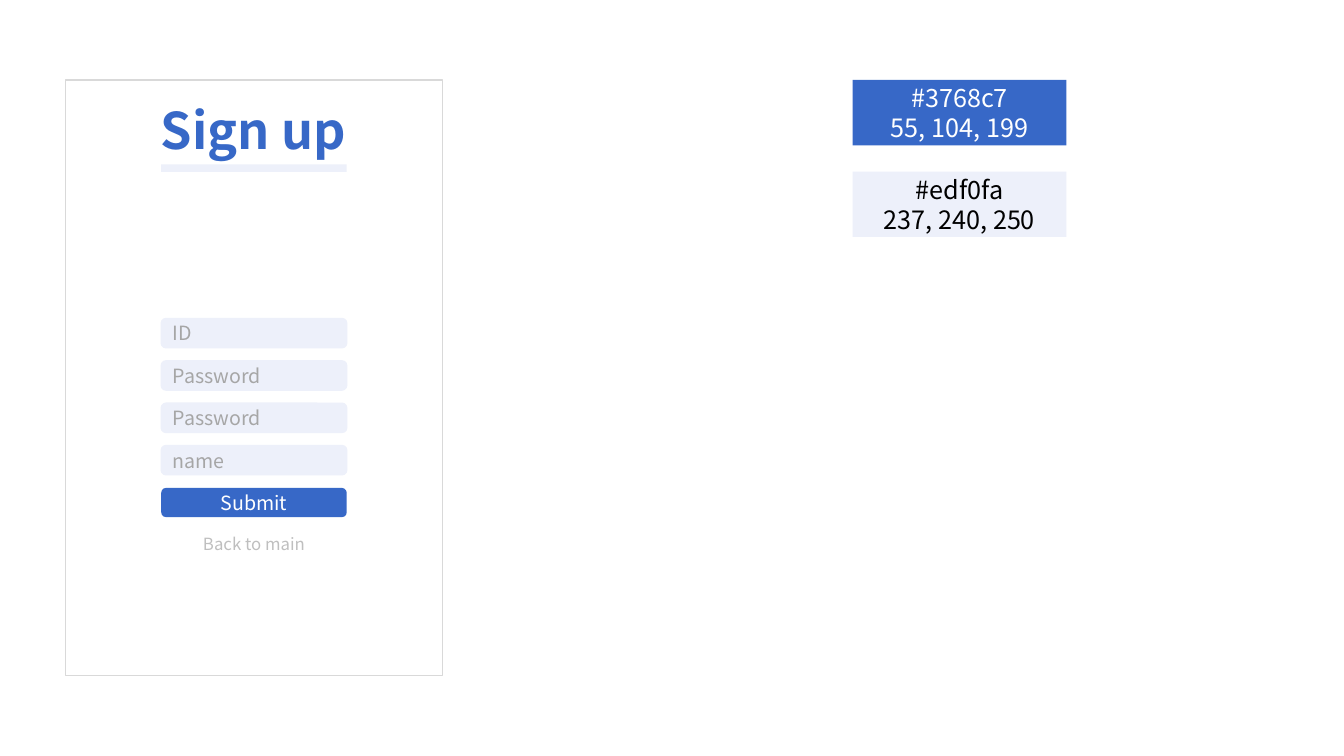
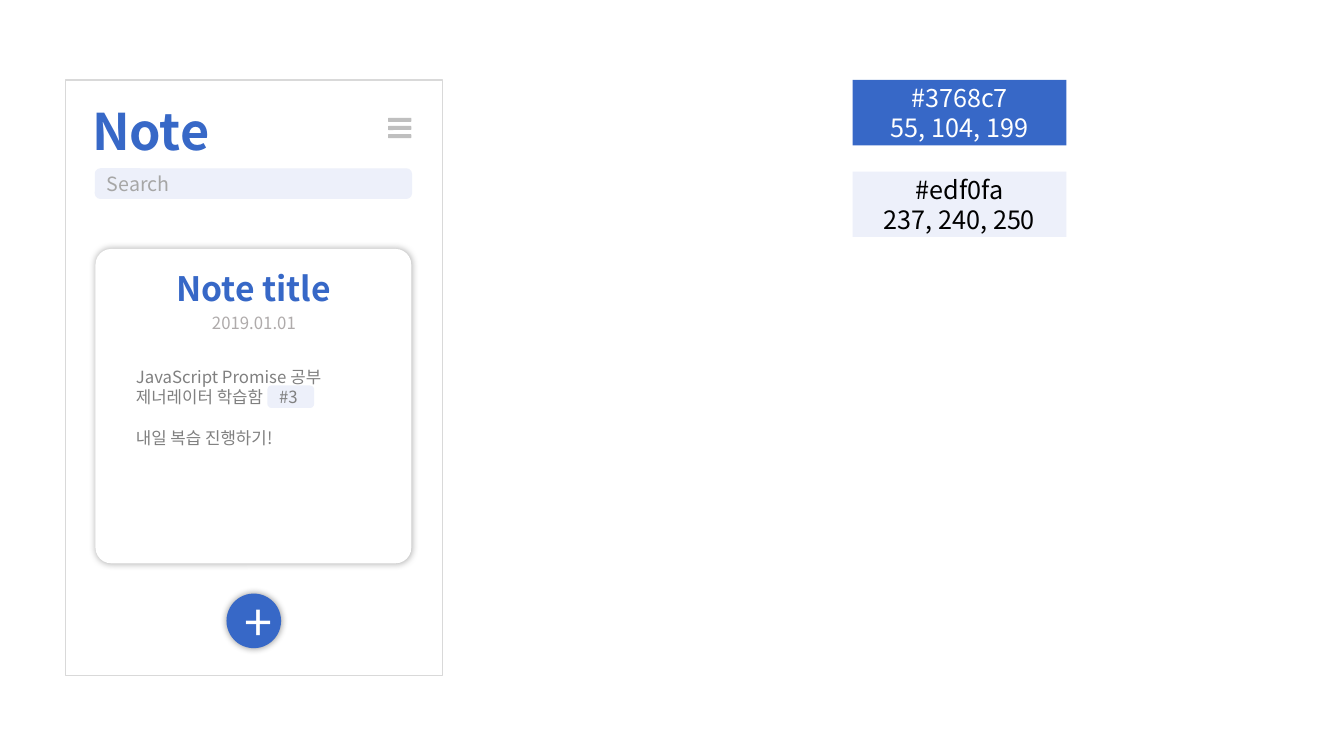
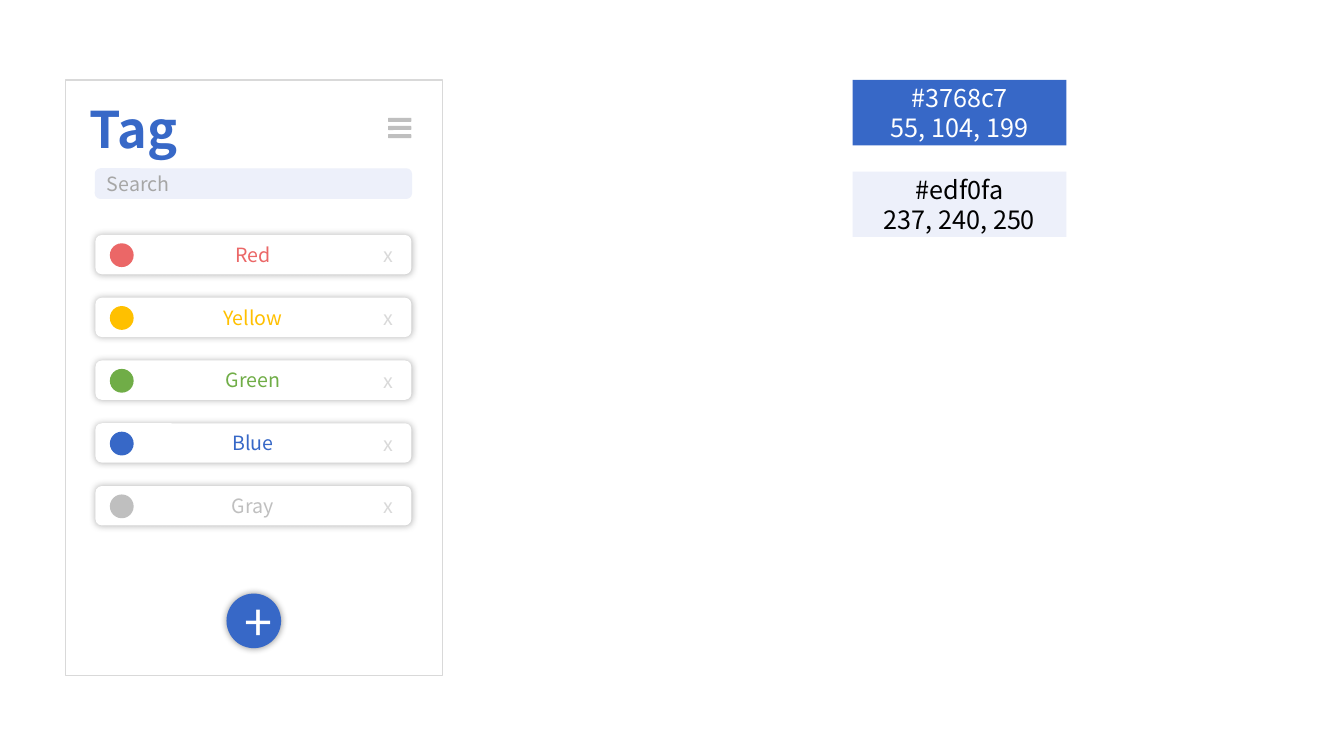
from lxml.etree import SubElement
from pptx import Presentation
from pptx.dml.color import RGBColor
from pptx.enum.shapes import MSO_SHAPE as Preset
from pptx.enum.text import MSO_AUTO_SIZE as AutoSize, PP_ALIGN as Align
from pptx.oxml.ns import qn
from pptx.util import Pt

FONT = "Noto Sans CJK KR"
BLUE = RGBColor(0x37, 0x68, 0xC7)
PALE = RGBColor(0xED, 0xF0, 0xFA)
WHITE = RGBColor(0xFF, 0xFF, 0xFF)
BLACK = RGBColor(0x00, 0x00, 0x00)
RED = RGBColor(0xEB, 0x67, 0x67)
YELLOW = RGBColor(0xFF, 0xC0, 0x00)
GREEN = RGBColor(0x70, 0xAD, 0x47)
GRAY = RGBColor(0xBF, 0xBF, 0xBF)
LIGHT_GRAY = RGBColor(0xD9, 0xD9, 0xD9)
HINT_GRAY = RGBColor(0xA6, 0xA6, 0xA6)
DATE_GRAY = RGBColor(0xAF, 0xAB, 0xAB)
BODY_GRAY = RGBColor(0x80, 0x80, 0x80)


def draw(shapes, preset, bounds, fill, line=None, glow=None):
    shape = shapes.add_shape(preset, *map(Pt, bounds))
    shape.shadow.inherit = False
    shape.fill.solid()
    shape.fill.fore_color.rgb = fill
    if line is None:
        shape.line.fill.background()
    else:
        shape.line.color.rgb = line
        shape.line.width = Pt(1)
    if glow:
        effects = shape._element.spPr.find(qn("a:effectLst"))
        outer = SubElement(effects, qn("a:outerShdw"), blurRad=str(Pt(5)),
                           dist="0", dir="0", algn="ctr", rotWithShape="0")
        color = SubElement(outer, qn("a:srgbClr"), val=str(BLACK))
        SubElement(color, qn("a:alpha"), val=str(glow * 1000))
    return shape


def write(target, lines, size, color, align=Align.CENTER, bold=False, bounds=None):
    if bounds:
        target = target.add_textbox(*map(Pt, bounds))
        target.text_frame.word_wrap = True
        target.text_frame.auto_size = AutoSize.SHAPE_TO_FIT_TEXT
    frame = target.text_frame
    frame.text = "\n".join(lines)
    for para in frame.paragraphs:
        para.alignment = align
        para.font.name = FONT
        para.font.size = Pt(size)
        para.font.bold = bold
        para.font.color.rgb = color
        SubElement(para._p.pPr.find(qn("a:defRPr")), qn("a:ea"), typeface=FONT)
    return frame


deck = Presentation()
deck.slide_width, deck.slide_height = Pt(960), Pt(540)

swatches = [
    (["#3768c7", "55, 104, 199"], BLUE, WHITE),
    (["#edf0fa", "237, 240, 250"], PALE, BLACK),
]
titles = [("Sign up", 105.1, 67), ("Note", 31.7, 67.7), ("Tag", 19.4, 66.2)]
pages = []
for title, left, top in titles:
    shapes = deck.slides.add_slide(deck.slide_layouts[6]).shapes
    pages.append(shapes)
    draw(shapes, Preset.RECTANGLE, (46.8, 57, 269.3, 425.5), WHITE, LIGHT_GRAY)
    for index, (lines, fill, ink) in enumerate(swatches):
        swatch = draw(shapes, Preset.RECTANGLE,
                      (609.1, 57 + 65.5 * index, 152.6, 46.8), fill)
        write(swatch, lines, 18, ink)
    write(shapes, [title], 36, BLUE, bold=True, bounds=(left, top, 152, 51))

signup, note, tag = pages

draw(signup, Preset.RECTANGLE, (115.2, 117.4, 132.5, 5.5), PALE)
for index, hint in enumerate(["ID", "Password", "Password", "name"]):
    field = draw(signup, Preset.ROUNDED_RECTANGLE,
                 (115.2, 227.5 + 30.25 * index, 132.5, 20.9), PALE, PALE)
    write(field, [hint], 14, HINT_GRAY, Align.LEFT)
submit = draw(signup, Preset.ROUNDED_RECTANGLE, (115.2, 348.5, 132.5, 20.9), BLUE)
write(submit, ["Submit"], 14, WHITE)
write(signup, ["Back to main"], 12, GRAY, bounds=(136.1, 378, 90.7, 21.8))

for shapes in (note, tag):
    search = draw(shapes, Preset.ROUNDED_RECTANGLE,
                  (68.2, 120.7, 225.6, 20.9), PALE, PALE)
    write(search, ["Search"], 14, HINT_GRAY, Align.LEFT)
    menu = shapes.add_group_shape().shapes
    for index in range(3):
        draw(menu, Preset.ROUNDED_RECTANGLE,
             (277.2, 84.2 + 5.8 * index, 16.6, 2.9), GRAY)
    add_button = draw(shapes, Preset.OVAL, (161.8, 424, 39, 39), BLUE, glow=40)
    write(add_button, ["+"], 36, WHITE)

card = draw(note, Preset.ROUNDED_RECTANGLE, (68.2, 177.8, 225.6, 224.6), WHITE, glow=30)
card.adjustments[0] = 0.05
write(note, ["Note title"], 24, BLUE, bold=True, bounds=(105.1, 188, 152, 36))
write(note, ["2019.01.01"], 12, DATE_GRAY, bounds=(122.4, 219.6, 118, 21.8))
memo = write(note, ["JavaScript Promise 공부", "제너레이터 학습함", "내일 복습 진행하기!"],
             12, BODY_GRAY, Align.LEFT, bounds=(90, 258.5, 187.2, 65.5))
memo.paragraphs[2].space_before = Pt(14.5)
label = draw(note, Preset.ROUNDED_RECTANGLE, (191.5, 275.8, 32.4, 15.1), PALE, PALE)
write(label, ["#3"], 12, BODY_GRAY, Align.LEFT)

tags = [("Red", RED), ("Yellow", YELLOW), ("Green", GREEN), ("Blue", BLUE), ("Gray", GRAY)]
for index, (name, color) in enumerate(tags):
    top = 167.8 + 44.85 * index
    row = draw(tag, Preset.ROUNDED_RECTANGLE, (68.2, top, 225.6, 28.1), WHITE, glow=30)
    row.adjustments[0] = 0.16
    draw(tag, Preset.OVAL, (78.5, top + 6, 17, 17), color)
    write(tag, [name], 14, color, bounds=(121.7, top + 2, 118, 24.5))
    write(tag, ["x"], 14, LIGHT_GRAY, bounds=(260.6, top + 2.3, 33.1, 24.5))

deck.save("out.pptx")
